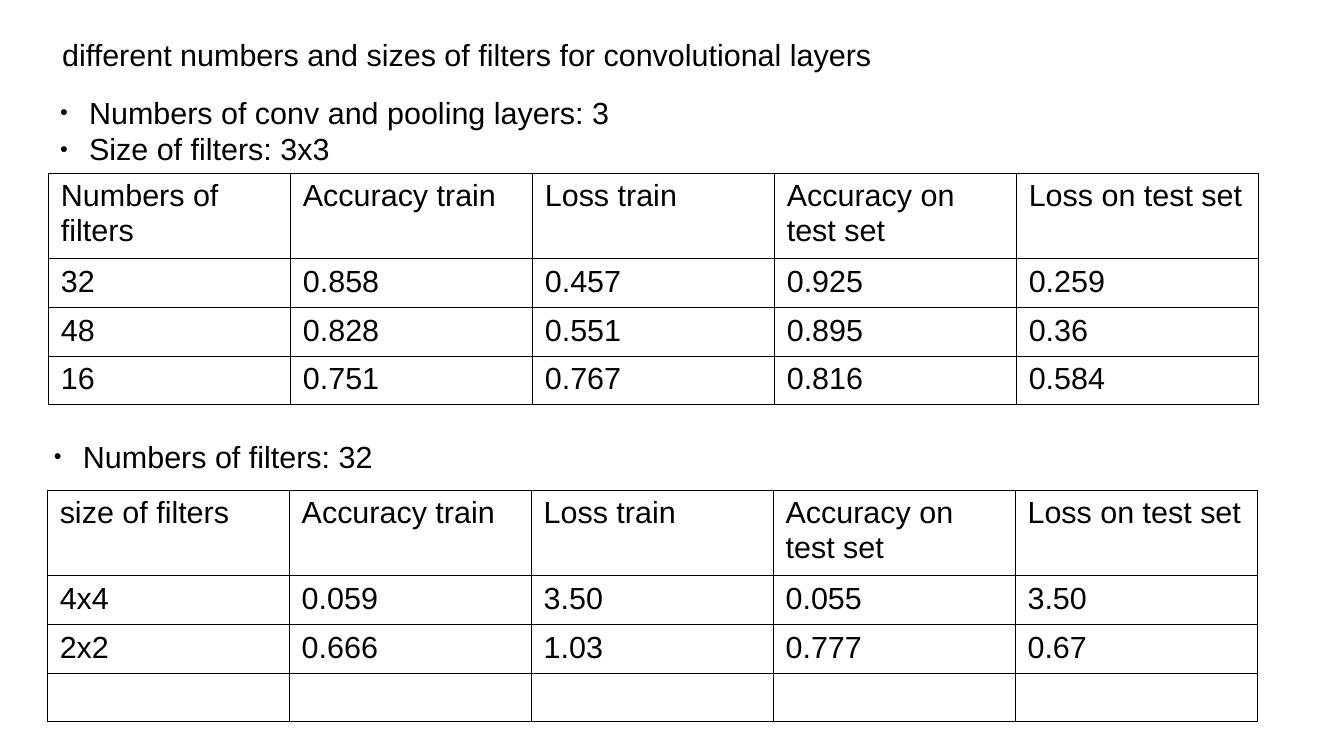
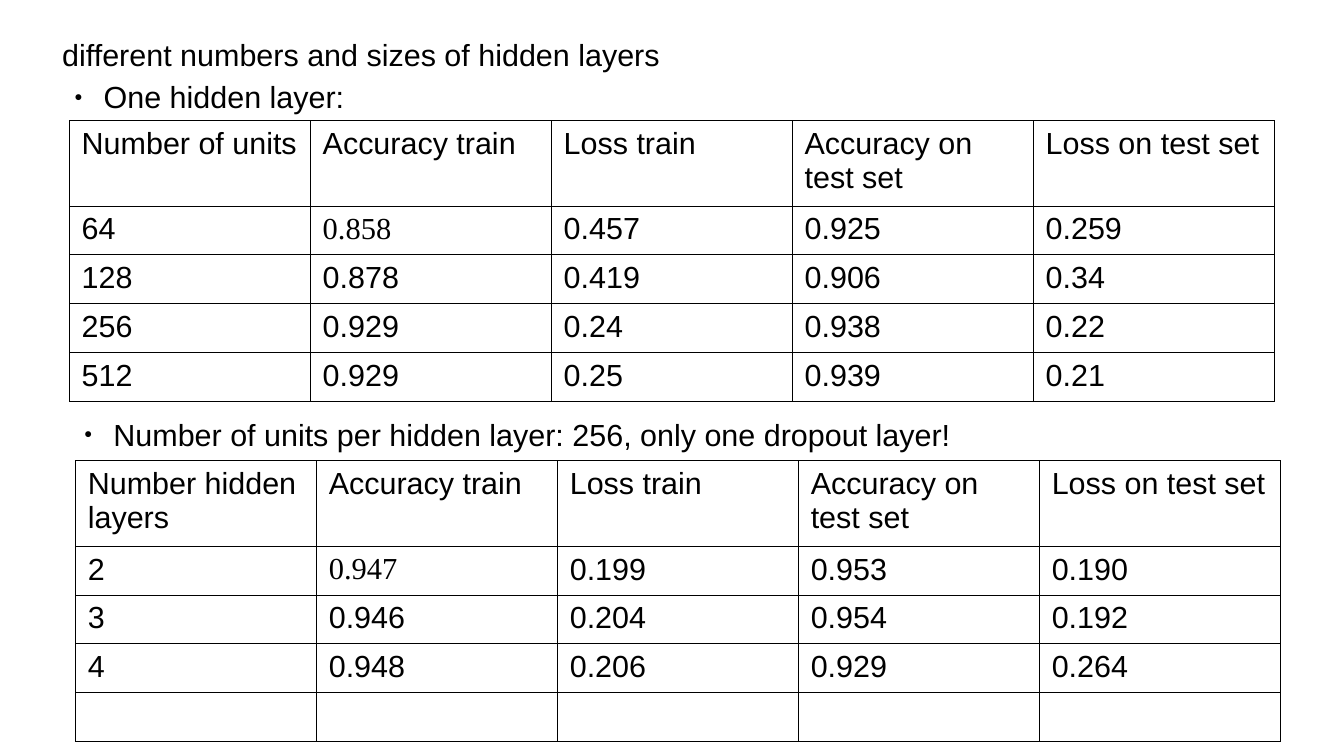
"""Builds two slides that compare filter and hidden layer settings."""
from lxml import etree
from pptx import Presentation
from pptx import util as u
from pptx.dml.color import RGBColor
from pptx.enum import text
from pptx.oxml import ns

COLORS = {"ink": "000000", "border": "000000", "page": "FFFFFF"}
BODY_FONT, ACCENT_FONT = "Arial", "Times New Roman"
FONT = {"size": u.Pt(18), "bold": False}
TITLE_BOX = (0.51, 0.2, 9.92, 0.49)
TITLE_FRAME = {"margin_left": 0, "margin_top": 0, "margin_right": 0, "margin_bottom": 0,
               "vertical_anchor": text.MSO_ANCHOR.MIDDLE, "word_wrap": True,
               "auto_size": text.MSO_AUTO_SIZE.NONE}
LIST_FRAME = {**TITLE_FRAME, "margin_left": u.Inches(0.1), "margin_top": u.Inches(0.05),
              "margin_bottom": u.Inches(0.05), "vertical_anchor": text.MSO_ANCHOR.TOP}
PARAGRAPH = {"alignment": text.PP_ALIGN.LEFT, "space_before": u.Pt(0),
             "space_after": u.Pt(0), "line_spacing": 1.0}
HEADER_HEIGHT, ROW_HEIGHT = 0.7, 0.4
INDENT = u.Inches(0.24)
MEASURES = ["Accuracy train", "Loss train", "Accuracy on test set", "Loss on test set"]
BLANK_ROW = [""] * 5

SLIDES = [
    {"title": "different numbers and sizes of filters for convolutional layers",
     "sections": [
         {"points": ["Numbers of conv and pooling layers: 3", "Size of filters: 3x3"],
          "list_box": (0.39, 0.72, 4.7, 0.66),
          "table_box": (0.4, 1.42, 9.92),
          "setting": "Numbers of filters",
          "results": [["32", "0.858", "0.457", "0.925", "0.259"],
                      ["48", "0.828", "0.551", "0.895", "0.36"],
                      ["16", "0.751", "0.767", "0.816", "0.584"]]},
         {"points": ["Numbers of filters: 32"],
          "list_box": (0.34, 3.54, 2.81, 0.38),
          "table_box": (0.39, 4.02, 9.92),
          "setting": "size of filters",
          "results": [["4x4", "0.059", "3.50", "0.055", "3.50"],
                      ["2x2", "0.666", "1.03", "0.777", "0.67"],
                      BLANK_ROW]}]},
    {"title": "different numbers and sizes of hidden layers",
     "sections": [
         {"points": ["One hidden layer:"],
          "list_box": (0.51, 0.59, 2.41, 0.38),
          "table_box": (0.57, 0.99, 9.88),
          "setting": "Number of units",
          "accent": (1, 1),
          "results": [["64", "0.858", "0.457", "0.925", "0.259"],
                      ["128", "0.878", "0.419", "0.906", "0.34"],
                      ["256", "0.929", "0.24", "0.938", "0.22"],
                      ["512", "0.929", "0.25", "0.939", "0.21"]]},
         {"points": ["Number of units per hidden layer: 256, only one dropout layer!"],
          "list_box": (0.59, 3.36, 7.3, 0.38),
          "table_box": (0.62, 3.78, 9.88),
          "setting": "Number hidden layers",
          "accent": (1, 1),
          "results": [["2", "0.947", "0.199", "0.953", "0.190"],
                      ["3", "0.946", "0.204", "0.954", "0.192"],
                      ["4", "0.948", "0.206", "0.929", "0.264"],
                      BLANK_ROW]}]},
]


def apply(target, values):
    """Set each attribute of the target from a dict."""
    for name, value in values.items():
        setattr(target, name, value)


def style_paragraph(paragraph, font_name=BODY_FONT):
    """Give a paragraph the shared spacing and font."""
    apply(paragraph, PARAGRAPH)
    for styled in [paragraph, *paragraph.runs]:
        apply(styled.font, {**FONT, "name": font_name})
        styled.font.color.rgb = RGBColor.from_string(COLORS["ink"])


def fill_placeholder(placeholder, box, lines, frame_format):
    """Move a placeholder to its box and write its lines."""
    sides = ("left", "top", "width", "height")
    apply(placeholder, dict(zip(sides, map(u.Inches, box))))
    frame = placeholder.text_frame
    frame.text = "\n".join(lines)
    apply(frame, frame_format)
    for paragraph in frame.paragraphs:
        style_paragraph(paragraph)
    return frame


def add_bullet(paragraph):
    """Put a small round bullet in front of a paragraph."""
    props = paragraph._p.get_or_add_pPr()
    props.set("marL", str(INDENT))
    props.set("indent", str(-INDENT))
    bullet = [etree.Element(ns.qn(tag)) for tag in ("a:buClr", "a:buSzPct", "a:buChar")]
    etree.SubElement(bullet[0], ns.qn("a:srgbClr")).set("val", COLORS["ink"])
    bullet[1].set("val", "45000")
    bullet[2].set("char", "●")
    default_font = props.find(ns.qn("a:defRPr"))
    for part in bullet:
        default_font.addprevious(part)


def add_borders(cell):
    """Draw a thin line on all four sides of a cell."""
    props = cell._tc.get_or_add_tcPr()
    for side in ("a:lnL", "a:lnR", "a:lnT", "a:lnB"):
        line = etree.SubElement(props, ns.qn(side), w=str(u.Pt(0.57)))
        solid = etree.SubElement(line, ns.qn("a:solidFill"))
        etree.SubElement(solid, ns.qn("a:srgbClr"), val=COLORS["border"])


def add_results(slide, box, rows, accent):
    """Place a bordered table of results with equal columns."""
    left, top, width = map(u.Inches, box)
    height = u.Inches(HEADER_HEIGHT + ROW_HEIGHT * (len(rows) - 1))
    table = slide.shapes.add_table(len(rows), len(rows[0]), left, top, width, height).table
    apply(table, {"first_row": False, "horz_banding": False})
    for r, values in enumerate(rows):
        table.rows[r].height = u.Inches(ROW_HEIGHT if r else HEADER_HEIGHT)
        for c, value in enumerate(values):
            cell = table.cell(r, c)
            cell.text = value
            font_name = ACCENT_FONT if (r, c) == accent else BODY_FONT
            style_paragraph(cell.text_frame.paragraphs[0], font_name)
            add_borders(cell)
            cell.fill.background()


def add_section(slide, placeholder, section):
    """Place a bullet list and the table below it."""
    frame = fill_placeholder(placeholder, section["list_box"], section["points"], LIST_FRAME)
    for paragraph in frame.paragraphs:
        add_bullet(paragraph)
    rows = [[section["setting"], *MEASURES], *section["results"]]
    add_results(slide, section["table_box"], rows, section.get("accent"))


def add_comparison(deck, content):
    """Add a slide with a title and two sections."""
    slide = deck.slides.add_slide(deck.slide_layouts[3])
    fill_placeholder(slide.shapes.title, TITLE_BOX, [content["title"]], TITLE_FRAME)
    lists = [slide.placeholders[1], slide.placeholders[2]]
    for placeholder, section in zip(lists, content["sections"]):
        add_section(slide, placeholder, section)


def main():
    """Build and save the deck."""
    deck = Presentation()
    apply(deck, {"slide_width": u.Inches(11.02), "slide_height": u.Inches(6.2)})
    background = deck.slide_master.background.fill
    background.solid()
    background.fore_color.rgb = RGBColor.from_string(COLORS["page"])
    for content in SLIDES:
        add_comparison(deck, content)
    deck.save("out.pptx")


if __name__ == "__main__":
    main()
